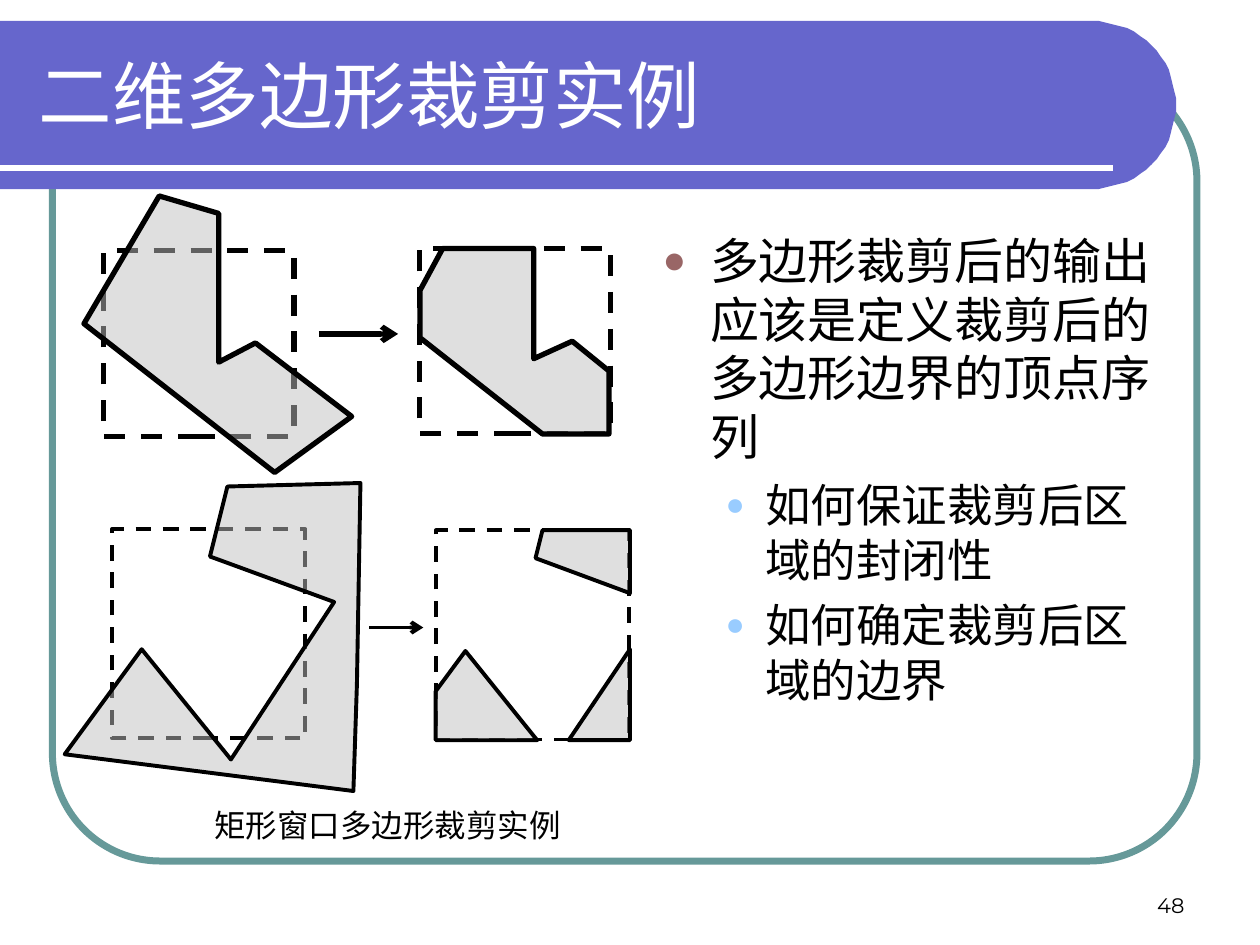
import math

from lxml import etree
from pptx import Presentation
from pptx.dml.color import RGBColor
from pptx.enum.dml import MSO_LINE
from pptx.enum.shapes import MSO_CONNECTOR, MSO_SHAPE
from pptx.enum.text import MSO_ANCHOR, MSO_AUTO_SIZE, PP_ALIGN
from pptx.oxml.ns import qn
from pptx.util import Pt

RECTANGLE, ROUNDED = MSO_SHAPE.RECTANGLE, MSO_SHAPE.ROUNDED_RECTANGLE
STRAIGHT, DASH = MSO_CONNECTOR.STRAIGHT, MSO_LINE.DASH
LEFT, CENTER, RIGHT = PP_ALIGN.LEFT, PP_ALIGN.CENTER, PP_ALIGN.RIGHT
TOP, MIDDLE, BOTTOM = MSO_ANCHOR.TOP, MSO_ANCHOR.MIDDLE, MSO_ANCHOR.BOTTOM
NO_AUTOFIT = MSO_AUTO_SIZE.NONE

BLACK = RGBColor(0x00, 0x00, 0x00)
WHITE = RGBColor(0xFF, 0xFF, 0xFF)
TEAL = RGBColor(0x66, 0x99, 0x99)
VIOLET = RGBColor(0x66, 0x66, 0xCC)
GRAY = RGBColor(0xC0, 0xC0, 0xC0)
ROSE = RGBColor(0x99, 0x66, 0x66)
SKY = RGBColor(0x99, 0xCC, 0xFF)

BULLETS = [
    ("多边形裁剪后的输出应该是定义裁剪后的多边形边界的顶点序列", 0),
    ("如何保证裁剪后区域的封闭性", 1),
    ("如何确定裁剪后区域的边界", 1),
]
LEVELS = [
    dict(size=28, margin=27, indent=-27, color=ROSE, percent=80),
    dict(size=26, margin=58.5, indent=-22.5, color=SKY, percent=70),
]
CONCAVE_EXAMPLE = dict(
    weight=3,
    window_size=(109, 106),
    windows=[(11, 31.7), (191.8, 30.2)],
    subject=[(43.4, 0), (0, 73.4), (109, 158.4), (152.9, 126.7),
             (98.2, 84.2), (76.6, 95), (76.6, 10.1)],
    results=[[(205.4, 30.2), (191.8, 54), (191.8, 81.4), (262.3, 136.1),
              (300.5, 136.1), (300.5, 100.1), (278.9, 83.5),
              (256.6, 93.6), (256.6, 30.2)]],
    arrow=(134.2, 179.5, 79.2),
)
SPLIT_EXAMPLE = dict(
    weight=2.25,
    window_size=(110.5, 119.5),
    windows=[(27.4, 26.6), (212.4, 27.3)],
    subject=[(154.1, 68.4), (95, 157.7), (44.6, 95), (0, 155.5),
             (164.9, 175.7), (167.8, 115.2), (169.2, 0), (93.6, 2.2),
             (83.5, 41.8)],
    results=[[(229, 96.5), (212.4, 119.5), (212.4, 146.9), (270, 146.9)],
             [(323.3, 95), (323.3, 146.9), (288.7, 146.9)],
             [(272.9, 27.4), (269.3, 43.2), (323.3, 63.4), (323.3, 27.4)]],
    arrow=(174.3, 205.2, 82.8),
)


def write_text(paragraph, text, *, size, color=BLACK, font="Arial",
               align=LEFT, before=0):
    """Fill a paragraph with formatted text."""
    paragraph.text = text
    paragraph.alignment = align
    paragraph.space_before = Pt(before)
    paragraph.font.name = font
    paragraph.font.size = Pt(size)
    paragraph.font.color.rgb = color


def prepare_frame(shape, anchor):
    """Set wrapping and anchoring and return the text frame."""
    frame = shape.text_frame
    frame.word_wrap = True
    frame.auto_size = NO_AUTOFIT
    frame.vertical_anchor = anchor
    return frame


def place(placeholder, box):
    """Move a placeholder to a box and bring it to the front."""
    placeholder.left, placeholder.top, placeholder.width, placeholder.height = map(Pt, box)
    placeholder.element.getparent().append(placeholder.element)


def add_outline(slide, kind, box, color, weight):
    """Add an unfilled preset shape with a coloured line."""
    shape = slide.shapes.add_shape(kind, *map(Pt, box))
    shape.shadow.inherit = False
    shape.fill.background()
    shape.line.color.rgb = color
    shape.line.width = Pt(weight)
    return shape


def add_polygon(slide, points, fill):
    """Add a closed filled polygon without a line."""
    builder = slide.shapes.build_freeform(*points[0], scale=Pt(1))
    builder.add_line_segments(points[1:], close=True)
    shape = builder.convert_to_shape()
    shape.shadow.inherit = False
    shape.fill.solid()
    shape.fill.fore_color.rgb = fill
    shape.line.fill.background()
    return shape


def add_line(slide, start, end, color, weight):
    """Add a straight connector without a shadow."""
    line = slide.shapes.add_connector(STRAIGHT, *map(Pt, (*start, *end)))
    line.line.color.rgb = color
    line.line.width = Pt(weight)
    etree.SubElement(line.element.spPr, qn("a:effectLst"))
    return line


def add_bullet(paragraph, *, margin, indent, color, percent):
    """Give a paragraph a round coloured bullet and a hanging indent."""
    properties = paragraph._p.get_or_add_pPr()
    properties.set("marL", str(Pt(margin)))
    properties.set("indent", str(Pt(indent)))
    bullet_color = etree.SubElement(properties, qn("a:buClr"))
    etree.SubElement(bullet_color, qn("a:srgbClr"), val=str(color))
    etree.SubElement(properties, qn("a:buSzPct"), val=str(percent * 1000))
    etree.SubElement(properties, qn("a:buFont"), typeface="Arial")
    etree.SubElement(properties, qn("a:buChar"), char="●")


def add_backdrop(slide, box):
    """Draw the rounded frame and the title band with its rule."""
    left, top, width, height = box
    frame = add_outline(slide, ROUNDED, (left + 30, top + 30, 654, 450), TEAL, 4)
    frame.adjustments[0] = 0.137
    radius = 48
    center_x, center_y = left + width - radius, top + radius
    angles = [math.radians(degree) for degree in range(-90, 91, 5)]
    arc = [(center_x + radius * math.cos(angle), center_y + radius * math.sin(angle))
           for angle in angles]
    add_polygon(slide, [(left, top), *arc, (left, top + 2 * radius)], VIOLET)
    rule_y = top + 84
    add_line(slide, (left, rule_y), (left + 636, rule_y), WHITE, 3)


def add_title(slide, box):
    """Place the slide title."""
    title = slide.shapes.title
    place(title, box)
    frame = prepare_frame(title, MIDDLE)
    write_text(frame.paragraphs[0], "二维多边形裁剪实例", size=42, color=WHITE)


def add_bullets(slide, box):
    """Place the two-level list."""
    body = slide.placeholders[1]
    place(body, box)
    frame = prepare_frame(body, TOP)
    for index, (text, level) in enumerate(BULLETS):
        paragraph = frame.add_paragraph() if index else frame.paragraphs[0]
        paragraph.level = level
        style = dict(LEVELS[level])
        size = style.pop("size")
        add_bullet(paragraph, **style)
        write_text(paragraph, text, size=size, before=6.5 if index else 0)


def add_clipping(slide, box, *, weight, window_size, windows, subject, results, arrow):
    """Draw a polygon over its window, an arrow and the clipped result."""
    left, top = box[:2]
    for (x, y), polygons in zip(windows, ([subject], results)):
        window = add_outline(slide, RECTANGLE, (left + x, top + y, *window_size),
                             BLACK, weight)
        window.line.dash_style = DASH
        for points in polygons:
            shifted = [(left + px, top + py) for px, py in points]
            polygon = add_polygon(slide, shifted, GRAY)
            fill_color = next(polygon.element.iter(qn("a:srgbClr")))
            etree.SubElement(fill_color, qn("a:alpha"), val="50000")
            polygon.line.color.rgb = BLACK
            polygon.line.width = Pt(weight)
    start, end, y = arrow
    line = add_line(slide, (left + start, top + y), (left + end, top + y), BLACK, weight)
    etree.SubElement(line.element.spPr.find(qn("a:ln")), qn("a:tailEnd"), type="arrow")


def add_label(slide, box, text, *, anchor=TOP, **style):
    """Add a one-paragraph text box."""
    frame = prepare_frame(slide.shapes.add_textbox(*map(Pt, box)), anchor)
    write_text(frame.paragraphs[0], text, **style)


def main():
    """Build and save the slide."""
    presentation = Presentation()
    presentation.slide_width, presentation.slide_height = Pt(720), Pt(540)
    slide = presentation.slides.add_slide(presentation.slide_layouts[1])
    add_backdrop(slide, (0, 12, 672, 480))
    add_bullets(slide, (371.5, 128, 306, 348))
    add_title(slide, (15, 18, 631.5, 72))
    add_clipping(slide, (48, 111.6, 301, 158.4), **CONCAVE_EXAMPLE)
    add_clipping(slide, (36.7, 275.8, 323.3, 175.7), **SPLIT_EXAMPLE)
    add_label(slide, (99.5, 457, 244, 29), "矩形窗口多边形裁剪实例", size=18, align=CENTER)
    add_label(slide, (516, 492, 168, 36), "48", size=12, font="Montserrat",
              align=RIGHT, anchor=BOTTOM)
    presentation.save("out.pptx")


if __name__ == "__main__":
    main()
